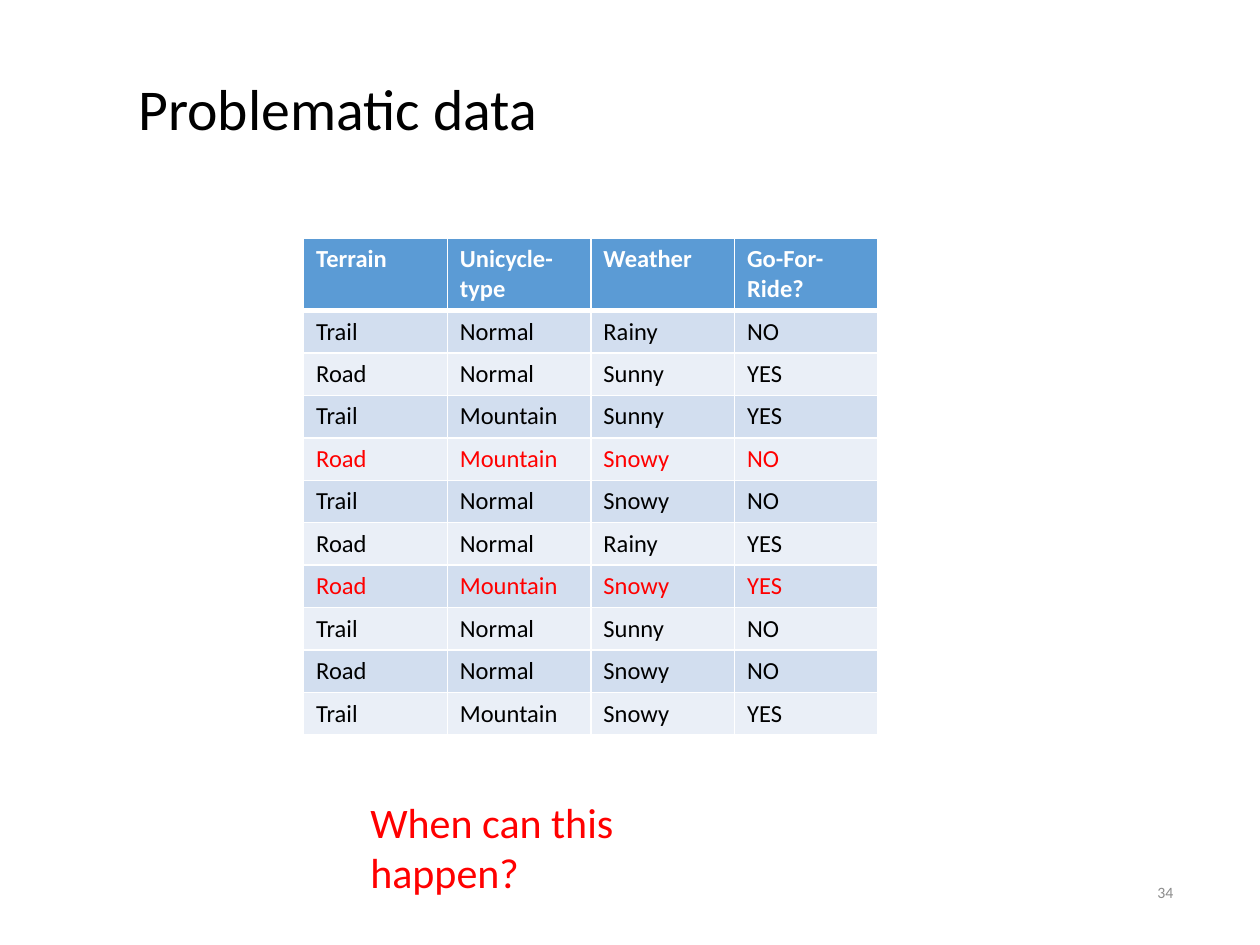
from pptx import Presentation
from pptx.util import Inches, Pt
from pptx.dml.color import RGBColor
from pptx.enum.text import MSO_ANCHOR, PP_ALIGN
from pptx.oxml.ns import qn
from lxml.etree import SubElement

WIDTH, HEIGHT = 10, 7.5
BLACK, WHITE, RED, GREY = "000000", "FFFFFF", "FF0000", "8C8C8C"
HEADER_FILL, BANDS = "5B9BD5", ("D2DEEF", "EAEFF7")


def color(value):
    return RGBColor.from_string(value)


class SlideBuilder:
    font = "Calibri"

    def __init__(self, prs):
        self.s = prs.slides.add_slide(prs.slide_layouts[5])

    def box(self, x, y, w, h):
        """Turn shares of the slide's size into lengths."""
        return (Inches(x * WIDTH), Inches(y * HEIGHT),
                Inches(w * WIDTH), Inches(h * HEIGHT))

    def add_text(self, tf, text, size, fill, bold=False, align=PP_ALIGN.LEFT):
        p = tf.paragraphs[0]
        p.alignment = align
        r = p.add_run()
        r.text = text
        r.font.name, r.font.size, r.font.bold = self.font, Pt(size), bold
        r.font.color.rgb = color(fill)
        return p

    def title(self, text, *area):
        sp = self.s.shapes.title
        sp.left, sp.top, sp.width, sp.height = self.box(*area)
        sp.text_frame.vertical_anchor = MSO_ANCHOR.MIDDLE
        self.add_text(sp.text_frame, text, 33, BLACK).line_spacing = 0.9

    def text(self, text, size, fill, *area, align=PP_ALIGN.LEFT,
             anchor=MSO_ANCHOR.TOP):
        tf = self.s.shapes.add_textbox(*self.box(*area)).text_frame
        tf.word_wrap = True
        tf.vertical_anchor = anchor
        self.add_text(tf, text, size, fill, align=align)

    def borders(self, cell, **widths):
        tcPr = cell._tc.get_or_add_tcPr()
        for i, (side, width) in enumerate(widths.items()):
            ln = tcPr.makeelement(qn("a:ln" + side), {"w": str(int(Pt(width)))})
            fill = SubElement(ln, qn("a:solidFill"))
            SubElement(fill, qn("a:srgbClr"), val=WHITE)
            tcPr.insert(i, ln)

    def table(self, rows, marked, row_height, *area):
        frame = self.s.shapes.add_table(len(rows), len(rows[0]), *self.box(*area))
        height = frame.height
        for i, values in enumerate(rows):
            header = i == 0
            frame.table.rows[i].height = Inches(row_height)
            ink = WHITE if header else RED if i in marked else BLACK
            for j, value in enumerate(values):
                cell = frame.table.cell(i, j)
                cell.fill.solid()
                cell.fill.fore_color.rgb = color(
                    HEADER_FILL if header else BANDS[(i - 1) % 2])
                self.borders(cell, L=1, R=1, T=3 if i == 1 else 1,
                             B=3 if header else 1)
                self.add_text(cell.text_frame, value, 14, ink, bold=header)
        frame.height = height


prs = Presentation()
prs.slide_width, prs.slide_height = Inches(WIDTH), Inches(HEIGHT)
slide = SlideBuilder(prs)

# Title
slide.title("Problematic data", 0.10, 0.015, 0.78, 0.207)

# Training examples, with the contradicting rows marked
examples = """Terrain Unicycle-type Weather Go-For-Ride?
Trail Normal Rainy NO
Road Normal Sunny YES
Trail Mountain Sunny YES
Road Mountain Snowy NO
Trail Normal Snowy NO
Road Normal Rainy YES
Road Mountain Snowy YES
Trail Normal Sunny NO
Road Normal Snowy NO
Trail Mountain Snowy YES"""
slide.table([line.split() for line in examples.splitlines()], {4, 7}, 0.25,
            0.241, 0.252, 0.456, 0.52)

# Question and slide number
slide.text("When can this happen?", 24, RED, 0.284, 0.836, 0.332, 0.067)
slide.text("34", 9, GREY, 0.733, 0.911, 0.208, 0.067,
           align=PP_ALIGN.RIGHT, anchor=MSO_ANCHOR.MIDDLE)

prs.save("out.pptx")
